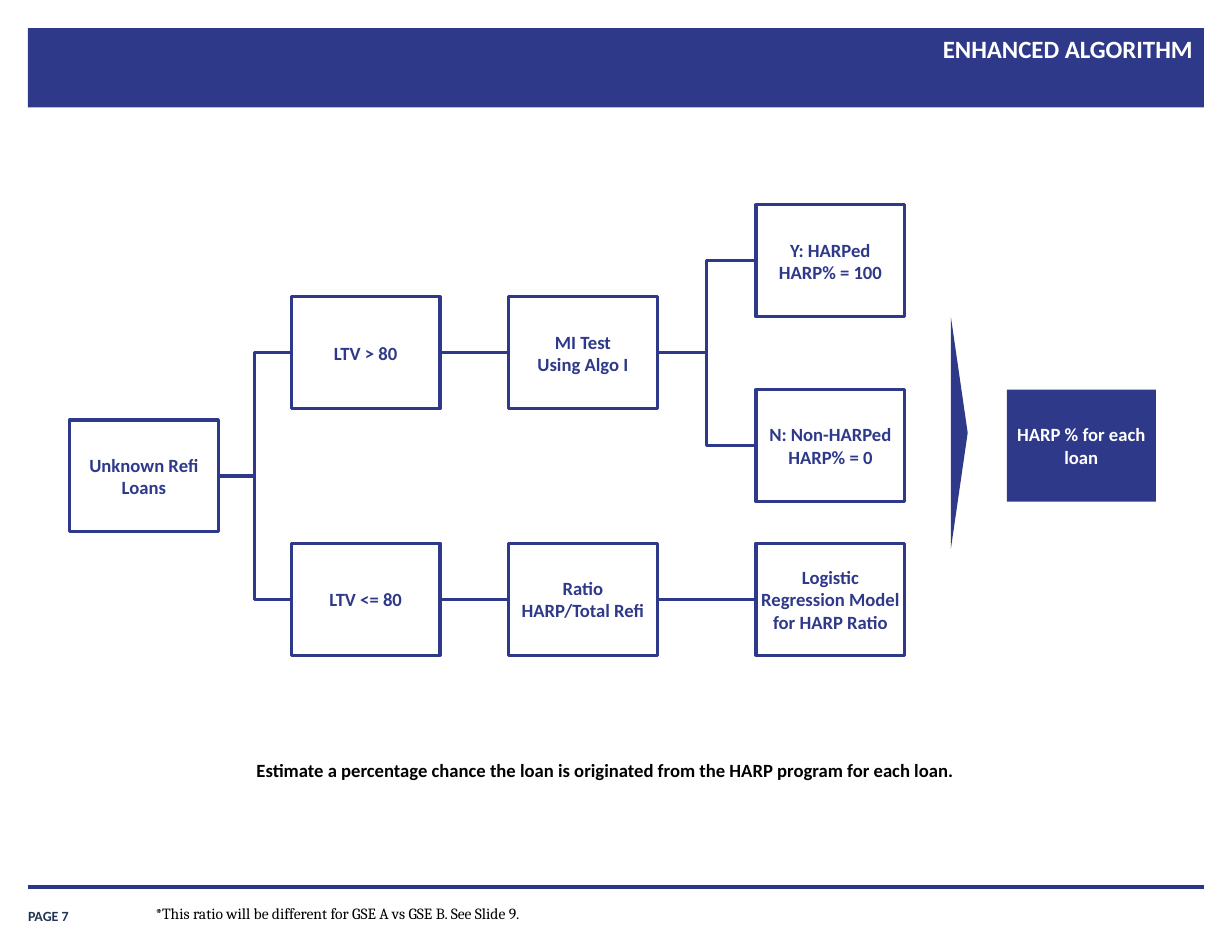
import dataclasses

import pptx
import pptx.dml.color
import pptx.enum.shapes
import pptx.enum.text
import pptx.oxml.ns
import pptx.util
from lxml import etree

Inches = pptx.util.Inches
Shape = pptx.enum.shapes.MSO_SHAPE
Connector = pptx.enum.shapes.MSO_CONNECTOR
Align = pptx.enum.text.PP_ALIGN
Anchor = pptx.enum.text.MSO_ANCHOR


@dataclasses.dataclass(frozen=True)
class Theme:
    navy: str = "2E398A"
    rule: str = "2B3689"
    page_ink: str = "203353"
    white: str = "FFFFFF"
    black: str = "000000"
    sans: str = "Calibri"
    serif: str = "Cambria"
    title_size: int = 16
    body_size: int = 12
    note_size: int = 10
    page_size: int = 9
    line_width: int = 2


class SlideBuilder:
    def __init__(self, slide, theme):
        self.shapes = slide.shapes
        self.theme = theme

    def color(self, value):
        return pptx.dml.color.RGBColor.from_string(value)

    def set_text(self, shape, text, size, color, font=None, bold=True,
                 align=Align.LEFT, anchor=Anchor.TOP, insets=(0.1, 0.05)):
        frame = shape.text_frame
        frame.text = text
        frame.word_wrap = True
        frame.vertical_anchor = anchor
        frame.margin_left = frame.margin_right = Inches(insets[0])
        frame.margin_top = frame.margin_bottom = Inches(insets[1])
        for para in frame.paragraphs:
            para.alignment = align
            for span in para.runs:
                span.font.name = font or self.theme.sans
                span.font.size = pptx.util.Pt(size)
                span.font.bold = bold
                span.font.color.rgb = self.color(color)

    def shape(self, kind, left, top, width, height, fill, line=None):
        shape = self.shapes.add_shape(
            kind, Inches(left), Inches(top), Inches(width), Inches(height))
        shape.shadow.inherit = False
        shape.fill.solid()
        shape.fill.fore_color.rgb = self.color(fill)
        if line:
            shape.line.color.rgb = self.color(line)
            shape.line.width = pptx.util.Pt(self.theme.line_width)
        else:
            shape.line.fill.background()
        return shape

    def box(self, text, left, top, width, height, fill, line, ink):
        box = self.shape(Shape.RECTANGLE, left, top, width, height, fill, line)
        self.set_text(box, text, self.theme.body_size, ink, align=Align.CENTER,
                      anchor=Anchor.MIDDLE, insets=(0.04, 0.04))
        return box

    def text(self, text, left, top, width, height, size, color, **style):
        label = self.shapes.add_textbox(
            Inches(left), Inches(top), Inches(width), Inches(height))
        self.set_text(label, text, size, color, **style)

    def line(self, kind, start, end, color):
        line = self.shapes.add_connector(kind, *map(Inches, (*start, *end)))
        line.line.color.rgb = self.color(color)
        line.line.width = pptx.util.Pt(self.theme.line_width)
        etree.SubElement(line._element.spPr, pptx.oxml.ns.qn("a:effectLst"))
        return line

    def link(self, source, target, kind):
        line = self.line(kind, (0, 0), (1, 1), self.theme.navy)
        line.begin_connect(source, 3)
        line.end_connect(target, 1)


def main():
    theme = Theme()
    deck = pptx.Presentation()
    deck.slide_width, deck.slide_height = Inches(11), Inches(8.5)
    page = SlideBuilder(deck.slides.add_slide(deck.slide_layouts[6]), theme)

    page.shape(Shape.RECTANGLE, 0.25, 0.25, 10.5, 0.71, theme.navy)
    page.text("PAGE 7", 0.25, 8.02, 0.91, 0.23, theme.page_size, theme.page_ink,
              anchor=Anchor.BOTTOM, insets=(0, 0))
    page.line(Connector.STRAIGHT, (0.25, 7.92), (10.75, 7.92), theme.rule)
    page.text("ENHANCED ALGORITHM", 3.32, 0.24, 7.44, 0.74, theme.title_size,
              theme.white, align=Align.RIGHT, insets=(0.11, 0.06))

    box_width, box_height = 1.33, 1
    columns = (0.62, 2.6, 4.54, 6.75)
    upper, lower = 2.65, 4.85
    nodes = {
        "loans": ("Unknown Refi Loans", columns[0], (upper + lower) / 2),
        "high_ltv": ("LTV > 80", columns[1], upper),
        "low_ltv": ("LTV <= 80", columns[1], lower),
        "mi_test": ("MI Test\nUsing Algo I", columns[2], upper),
        "ratio": ("Ratio\nHARP/Total Refi", columns[2], lower),
        "harped": ("Y: HARPed\nHARP% = 100", columns[3], 1.83),
        "non_harped": ("N: Non-HARPed\nHARP% = 0", columns[3], 3.48),
        "model": ("Logistic Regression Model for HARP Ratio", columns[3], lower),
    }
    boxes = {
        name: page.box(text, left, top, box_width, box_height,
                       theme.white, theme.navy, theme.navy)
        for name, (text, left, top) in nodes.items()
    }

    branches = (("loans", "high_ltv"), ("loans", "low_ltv"),
                ("mi_test", "harped"), ("mi_test", "non_harped"))
    steps = (("high_ltv", "mi_test"), ("low_ltv", "ratio"), ("ratio", "model"))
    for kind, pairs in ((Connector.ELBOW, branches), (Connector.STRAIGHT, steps)):
        for source, target in pairs:
            page.link(boxes[source], boxes[target], kind)

    pointer = page.shape(Shape.ISOSCELES_TRIANGLE, 7.53, 3.79, 2.07, 0.15, theme.navy)
    pointer.rotation = 90
    page.box("HARP % for each loan", 8.99, 3.48, box_width, box_height,
             theme.navy, None, theme.white)
    page.box("Estimate a percentage chance the loan is originated from the "
             "HARP program for each loan.", 1.03, 6.38, 8.75, 1,
             theme.white, theme.white, theme.black)
    page.text("*This ratio will be different for GSE A vs GSE B. See Slide 9.",
              1.29, 8.02, 4.58, 0.27, theme.note_size, theme.black,
              font=theme.serif, bold=False)

    deck.save("out.pptx")


if __name__ == "__main__":
    main()
